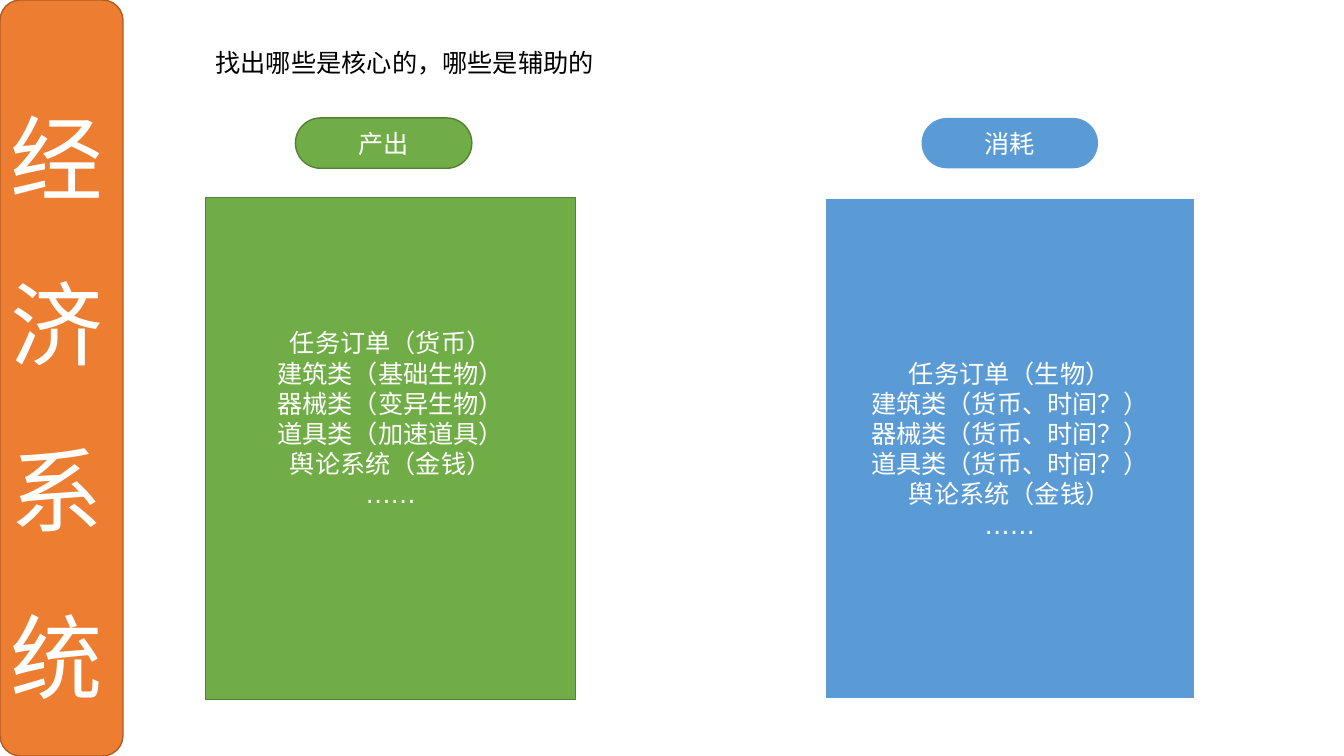
"""Build the economy system slide comparing outputs and costs."""
from dataclasses import dataclass

from lxml import etree
from pptx import Presentation
from pptx.dml.color import RGBColor
from pptx.enum.shapes import MSO_SHAPE
from pptx.enum.text import MSO_ANCHOR, MSO_AUTO_SIZE, PP_ALIGN
from pptx.oxml.ns import qn
from pptx.util import Inches, Pt

WHITE = RGBColor(0xFF, 0xFF, 0xFF)
BLACK = RGBColor(0x00, 0x00, 0x00)
ORANGE = RGBColor(0xED, 0x7D, 0x31)
DARK_ORANGE = RGBColor(0xAF, 0x5C, 0x24)
GREEN = RGBColor(0x70, 0xAD, 0x47)
DARK_GREEN = RGBColor(0x53, 0x80, 0x35)
BLUE = RGBColor(0x5B, 0x9B, 0xD5)

ROUNDED = MSO_SHAPE.ROUNDED_RECTANGLE
MIDDLE, TOP = MSO_ANCHOR.MIDDLE, MSO_ANCHOR.TOP
CENTER, LEFT = PP_ALIGN.CENTER, PP_ALIGN.LEFT
NO_FIT = MSO_AUTO_SIZE.NONE

BODY_FONT = {"name": "DejaVu Sans", "size": Pt(18), "bold": False}
TITLE_FONT = {"name": "Noto Sans CJK SC", "size": Pt(66), "bold": False}
TWO_CONTENT_LAYOUT = 3
SIDEBAR = (0, 0, 1.22, 7.5)


@dataclass(frozen=True)
class Outline:
    color: RGBColor
    width: float


@dataclass(frozen=True)
class Column:
    placeholder: int
    heading: str
    heading_left: float
    panel_left: float
    fill: RGBColor
    heading_outline: Outline | None
    panel_outline: Outline
    bottom_inset: float
    items: tuple[str, ...]


GREEN_EDGE = Outline(DARK_GREEN, 1)
COLUMNS = (
    Column(1, "产出", 2.93, 2.04, GREEN, GREEN_EDGE, GREEN_EDGE, 0.65,
           ("任务订单（货币）", "建筑类（基础生物）", "器械类（变异生物）",
            "道具类（加速道具）", "舆论系统（金钱）", "……")),
    Column(2, "消耗", 9.14, 8.18, BLUE, None, Outline(WHITE, 1.5), 0.05,
           ("任务订单（生物）", "建筑类（货币、时间？）", "器械类（货币、时间？）",
            "道具类（货币、时间？）", "舆论系统（金钱）", "……")),
)


def apply(target, values: dict) -> None:
    for attribute, value in values.items():
        setattr(target, attribute, value)


def place(shape, left: float, top: float, width: float, height: float) -> None:
    apply(shape, {"left": Inches(left), "top": Inches(top),
                  "width": Inches(width), "height": Inches(height)})


def paint(shape, fill: RGBColor, outline: Outline | None) -> None:
    shape.fill.solid()
    shape.fill.fore_color.rgb = fill
    if outline is None:
        shape.line.fill.background()
    else:
        shape.line.color.rgb = outline.color
        shape.line.width = Pt(outline.width)


def write(shape, lines: tuple[str, ...], font: dict, color: RGBColor = WHITE,
          align=CENTER, anchor=MIDDLE, spacing: float = 1.0,
          bottom_inset: float = 0.05) -> None:
    frame = shape.text_frame
    apply(frame, {"word_wrap": True, "auto_size": NO_FIT, "vertical_anchor": anchor,
                  "margin_left": Inches(0.1), "margin_right": Inches(0.1),
                  "margin_top": Inches(0.05), "margin_bottom": Inches(bottom_inset)})
    for index, line in enumerate(lines):
        paragraph = frame.add_paragraph() if index else frame.paragraphs[0]
        if shape.is_placeholder:
            properties = paragraph._p.get_or_add_pPr()
            properties.set("marL", "0")
            properties.set("indent", "0")
            etree.SubElement(properties, qn("a:buNone"))
        apply(paragraph, {"alignment": align, "line_spacing": spacing,
                          "space_before": Pt(0), "space_after": Pt(0)})
        run = paragraph.add_run()
        run.text = line
        apply(run.font, font)
        run.font.color.rgb = color


def add_rounded(slide, box: tuple[float, ...], fill: RGBColor, outline: Outline | None):
    shape = slide.shapes.add_shape(ROUNDED, *map(Inches, box))
    shape.shadow.inherit = False
    paint(shape, fill, outline)
    return shape


def add_sidebar(slide) -> None:
    add_rounded(slide, SIDEBAR, ORANGE, Outline(DARK_ORANGE, 1))
    title = slide.shapes.title
    place(title, *SIDEBAR)
    write(title, ("经济系统",), TITLE_FONT, align=LEFT, spacing=1.5)
    slide.shapes._spTree.append(title._element)


def add_column(slide, column: Column) -> None:
    heading = add_rounded(slide, (column.heading_left, 1.17, 1.75, 0.5),
                          column.fill, column.heading_outline)
    heading.adjustments[0] = 0.5
    write(heading, (column.heading,), BODY_FONT)
    panel = slide.placeholders[column.placeholder]
    place(panel, column.panel_left, 1.96, 3.67, 4.98)
    paint(panel, column.fill, column.panel_outline)
    write(panel, column.items, BODY_FONT, bottom_inset=column.bottom_inset)


def main() -> None:
    presentation = Presentation()
    apply(presentation, {"slide_width": Inches(13.33), "slide_height": Inches(7.5)})
    slide = presentation.slides.add_slide(presentation.slide_layouts[TWO_CONTENT_LAYOUT])
    add_sidebar(slide)
    for column in COLUMNS:
        add_column(slide, column)
    question = slide.shapes.add_textbox(*map(Inches, (2.04, 0.42, 5.23, 0.4)))
    write(question, ("找出哪些是核心的，哪些是辅助的",), BODY_FONT, BLACK, LEFT, TOP)
    presentation.save("out.pptx")


if __name__ == "__main__":
    main()
